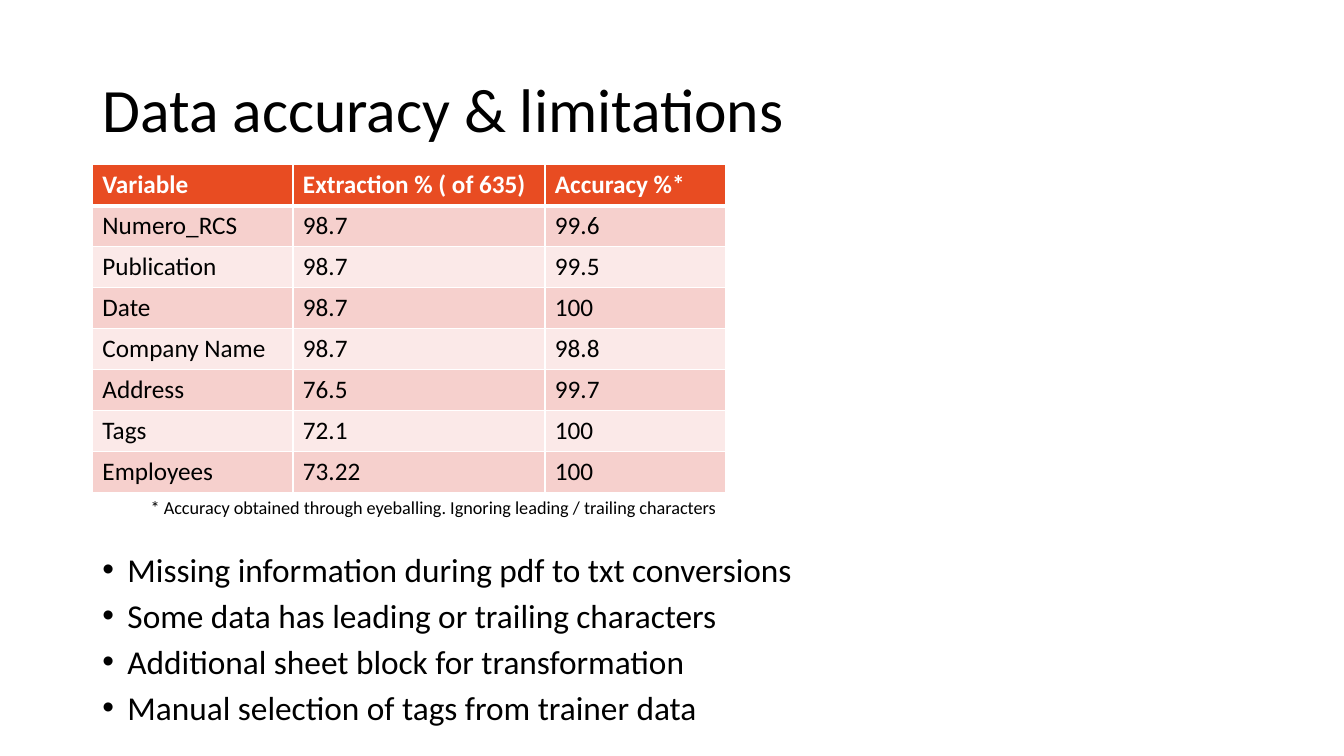
from lxml.etree import SubElement
from pptx import Presentation
from pptx.dml.color import RGBColor
from pptx.enum.text import MSO_ANCHOR as Anchor, PP_ALIGN as Align
from pptx.oxml.ns import qn
from pptx.util import Pt

PX = 9525  # EMU in one px, 96 px to the inch
WHITE, BLACK, ORANGE = "FFFFFF", "000000", "E84C22"
BANDS = ["F6D0CD", "FBE9E8"]


def format_text(para, size, color=BLACK, bold=False):
    for span in para.runs:
        span.font.name = "Calibri"
        span.font.size = Pt(size)
        span.font.bold = bold
        span.font.color.rgb = RGBColor.from_string(color)


def format_cell(cell, fill, top=1, bottom=1):
    cell.fill.solid()
    cell.fill.fore_color.rgb = RGBColor.from_string(fill)
    props = cell._tc.get_or_add_tcPr()
    # Borders come before the fill in the cell properties
    for index, (side, width) in enumerate(
            [("lnL", 1), ("lnR", 1), ("lnT", top), ("lnB", bottom)]):
        line = SubElement(props, qn(f"a:{side}"), w=str(Pt(width)))
        solid = SubElement(line, qn("a:solidFill"))
        SubElement(solid, qn("a:srgbClr"), val=WHITE)
        props.insert(index, line)


deck = Presentation()
deck.slide_width, deck.slide_height = 1280 * PX, 720 * PX
page = deck.slides.add_slide(deck.slide_layouts[5])

# Title
title = page.shapes.title
title.left, title.top, title.width, title.height = [
    n * PX for n in (88, 38, 1104, 139)]
title.text_frame.text = "Data accuracy & limitations"
title.text_frame.vertical_anchor = Anchor.MIDDLE
heading = title.text_frame.paragraphs[0]
heading.alignment = Align.LEFT
heading.line_spacing = 0.9
format_text(heading, 44)

# Accuracy table
rows = [
    ("Variable", "Extraction % ( of 635)", "Accuracy %*"),
    ("Numero_RCS", "98.7", "99.6"),
    ("Publication", "98.7", "99.5"),
    ("Date", "98.7", "100"),
    ("Company Name", "98.7", "98.8"),
    ("Address", "76.5", "99.7"),
    ("Tags", "72.1", "100"),
    ("Employees", "73.22", "100"),
]
widths = [191, 240, 172]
row_height = 39
row_count = len(rows) + 1
table = page.shapes.add_table(
    row_count, len(widths), 88 * PX, 157 * PX,
    sum(widths) * PX, row_count * row_height * PX).table
for column, width in zip(table.columns, widths):
    column.width = width * PX
for row in table.rows:
    row.height = row_height * PX

for r, values in enumerate(rows):
    header = r == 0
    for c, value in enumerate(values):
        cell = table.cell(r, c)
        cell.text_frame.text = value
        format_text(cell.text_frame.paragraphs[0], 18,
                    WHITE if header else BLACK, header)
        format_cell(cell, ORANGE if header else BANDS[(r - 1) % 2],
                    top=3 if r == 1 else 1, bottom=3 if header else 1)

# Footnote across the last row
last = row_count - 1
note = table.cell(last, 0)
note.merge(table.cell(last, len(widths) - 1))
note.text_frame.text = ("* Accuracy obtained through eyeballing. "
                        "Ignoring leading / trailing characters")
note.text_frame.paragraphs[0].alignment = Align.RIGHT
format_text(note.text_frame.paragraphs[0], 13)
for c in range(len(widths)):
    format_cell(table.cell(last, c), WHITE)

# Limitations
limitations = [
    "Missing information during pdf to txt conversions",
    "Some data has leading or trailing characters",
    "Additional sheet block for transformation",
    "Manual selection of tags from trainer data",
]
box = page.shapes.add_textbox(88 * PX, 526 * PX, 733 * PX, 174 * PX)
box.text_frame.word_wrap = True
box.text_frame.text = "\n".join(limitations)
for para in box.text_frame.paragraphs:
    para.line_spacing = 0.8
    para.space_before = Pt(10)
    format_text(para, 23.8)
    props = para._p.get_or_add_pPr()
    props.set("marL", str(24 * PX))
    props.set("indent", str(-24 * PX))
    SubElement(props, qn("a:buFont"), typeface="Arial")
    SubElement(props, qn("a:buChar"), char="•")

deck.save("out.pptx")
